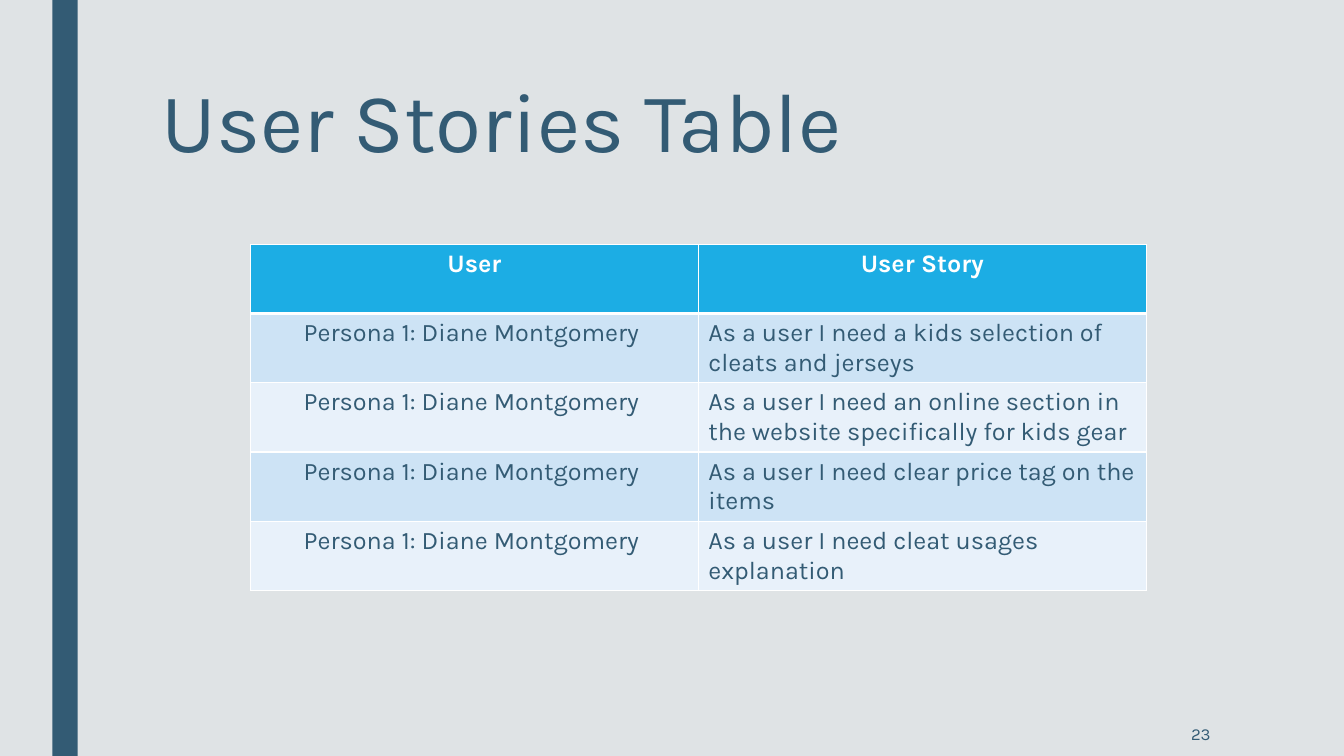
import pptx
import pptx.util
import pptx.dml.color
import pptx.enum.shapes
import pptx.enum.text
from pptx.util import Cm
from pptx.oxml import parse_xml
from pptx.oxml.ns import nsdecls

RGBColor = pptx.dml.color.RGBColor
ALIGN = pptx.enum.text.PP_ALIGN
ANCHOR = pptx.enum.text.MSO_ANCHOR

GREY = RGBColor(0xDF, 0xE3, 0xE5)
NAVY = RGBColor(0x33, 0x5B, 0x74)
BLUE = RGBColor(0x1C, 0xAD, 0xE4)
PALE = RGBColor(0xCD, 0xE3, 0xF5)
LIGHT = RGBColor(0xE8, 0xF1, 0xFA)
WHITE = RGBColor(0xFF, 0xFF, 0xFF)

USER = "Persona 1: Diane Montgomery "
STORIES = [
    "As a user I need a kids selection of cleats and jerseys",
    "As a user I need an online section in the website specifically for kids gear",
    "As a user I need clear price tag on the items",
    "As a user I need cleat usages explanation",
]


def write(frame, text, size=18, color=NAVY, bold=False, align=ALIGN.LEFT,
          anchor=ANCHOR.TOP, spacing=1.0):
    """Put one formatted paragraph into a text frame."""
    frame.word_wrap = True
    frame.vertical_anchor = anchor
    para = frame.paragraphs[0]
    para.alignment = align
    para.line_spacing = spacing
    run = para.add_run()
    run.text = text
    run.font.name = "Karla"
    run.font.size = pptx.util.Pt(size)
    run.font.bold = bold
    run.font.color.rgb = color


def add_bar(slide):
    """Draw the vertical band at the left."""
    bar = slide.shapes.add_shape(pptx.enum.shapes.MSO_SHAPE.RECTANGLE,
                                 Cm(1.32), 0, Cm(0.64), Cm(19.05))
    bar.shadow.inherit = False
    bar.fill.solid()
    bar.fill.fore_color.rgb = NAVY
    bar.line.fill.background()


def add_title(slide, text):
    """Place and fill the title."""
    title = slide.shapes.title
    title.left, title.top = Cm(3.81), Cm(1.9)
    title.width, title.height = Cm(26.67), Cm(4.11)
    title.text_frame.auto_size = pptx.enum.text.MSO_AUTO_SIZE.NONE
    write(title.text_frame, text, size=60, spacing=0.89)


def edge(cell, side, points):
    """Give one side of a cell a white border."""
    cell._tc.get_or_add_tcPr().append(parse_xml(
        f'<a:ln{side} {nsdecls("a")} w="{pptx.util.Pt(points)}"><a:solidFill>'
        f'<a:srgbClr val="{WHITE}"/></a:solidFill></a:ln{side}>'))


def add_table(slide, rows):
    """Build the table with a header and striped rows."""
    table = slide.shapes.add_table(len(rows), 2, Cm(6.31), Cm(6.16),
                                   Cm(22.58), Cm(1.74) * len(rows)).table
    for r, row in enumerate(rows):
        head = r == 0
        for c, text in enumerate(row):
            cell = table.cell(r, c)
            edge(cell, "L", 1)
            edge(cell, "R", 1)
            edge(cell, "T", 3 if r == 1 else 1)
            edge(cell, "B", 3 if head else 1)
            cell.fill.solid()
            cell.fill.fore_color.rgb = BLUE if head else PALE if r % 2 else LIGHT
            write(cell.text_frame, text, bold=head,
                  color=WHITE if head else NAVY,
                  align=ALIGN.CENTER if head or c == 0 else ALIGN.LEFT)


def add_number(slide, text):
    """Add the page number at the bottom right."""
    box = slide.shapes.add_textbox(Cm(26.31), Cm(17.93), Cm(4.45), Cm(1.12))
    write(box.text_frame, text, size=12, align=ALIGN.RIGHT, anchor=ANCHOR.MIDDLE)


def main():
    """Build and save the slide."""
    deck = pptx.Presentation()
    deck.slide_width, deck.slide_height = Cm(33.87), Cm(19.05)
    slide = deck.slides.add_slide(deck.slide_layouts[5])
    slide.background.fill.solid()
    slide.background.fill.fore_color.rgb = GREY
    add_bar(slide)
    add_title(slide, "User Stories Table")
    add_table(slide, [("User", "User Story")] + [(USER, s) for s in STORIES])
    add_number(slide, "23")
    deck.save("out.pptx")


if __name__ == "__main__":
    main()
